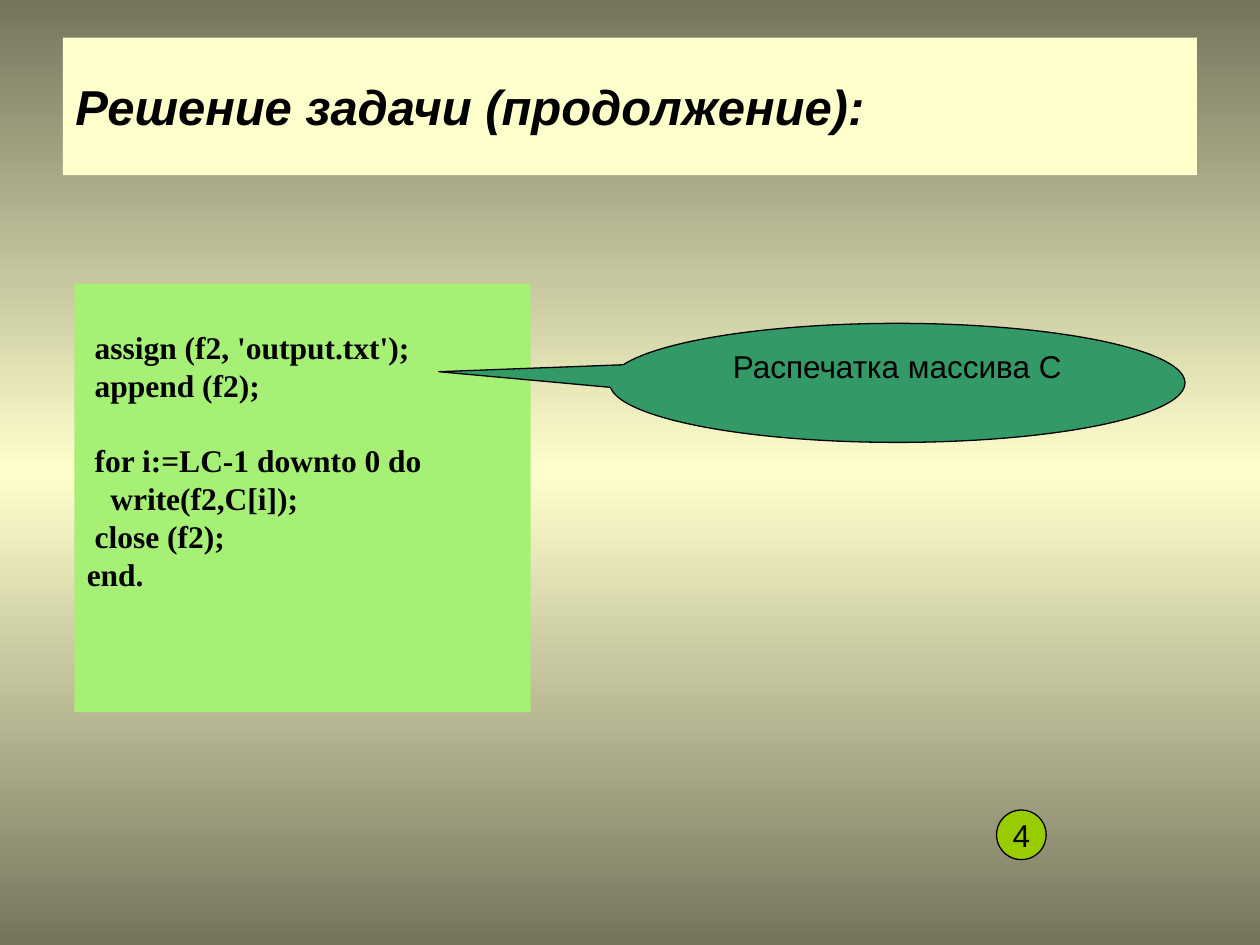
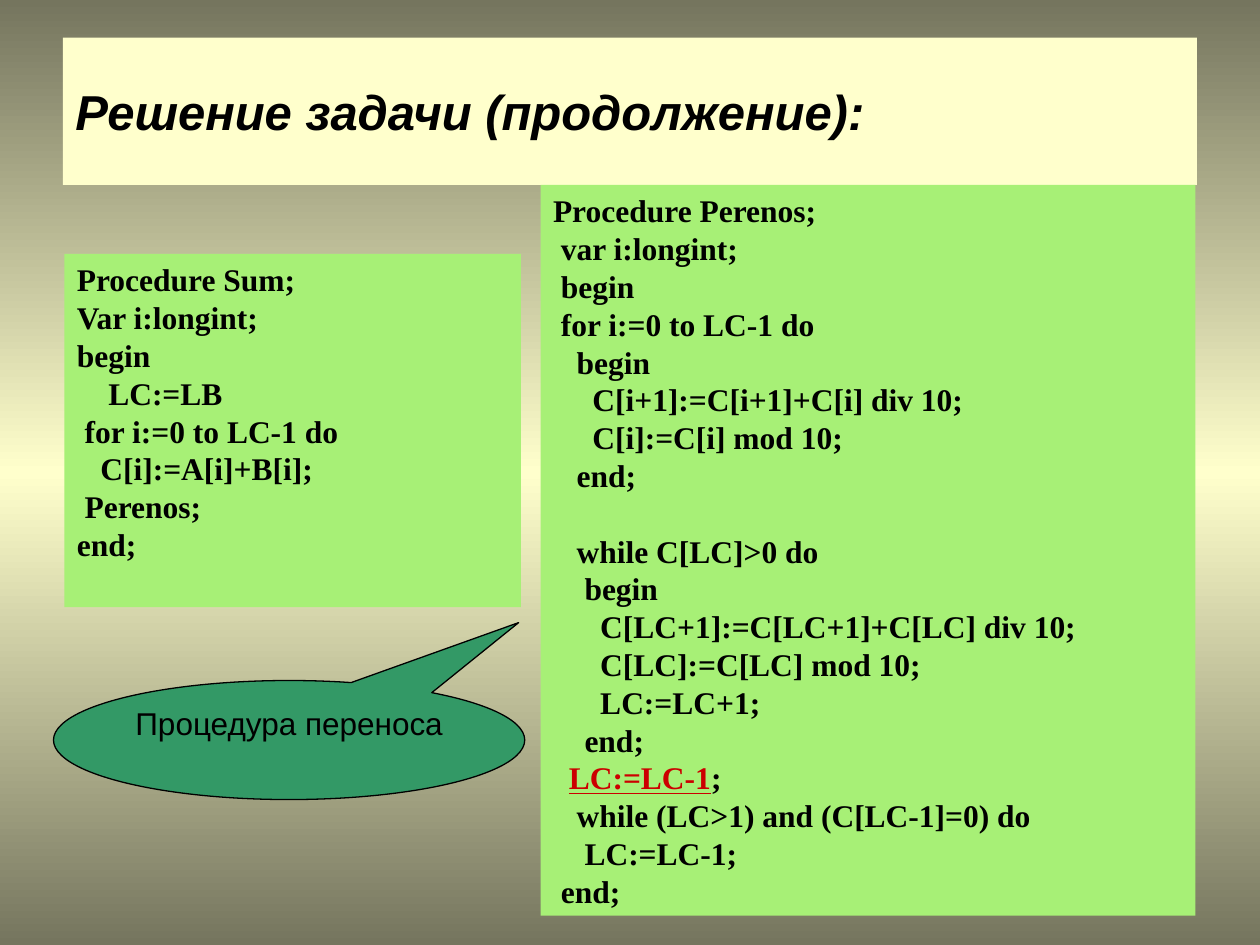
"""Build two slides that finish a long-addition program in Pascal."""
from copy import deepcopy

from pptx import Presentation
from pptx.dml.color import RGBColor
from pptx.enum.shapes import MSO_SHAPE
from pptx.enum.text import MSO_ANCHOR, PP_ALIGN
from pptx.oxml.ns import qn
from pptx.util import Cm, Pt

COLORS = {
    "edge": "75755E", "cream": "FFFFCC", "code": "A7F076", "callout": "339966",
    "badge": "99CC00", "text": "000000", "accent": "CC0000",
}
CODE_SIZE = 18
CODE_LINE = Pt(21.6)
INSET = Cm(0.13)

TITLE = "Решение задачи (продолжение):"
OUTPUT_CODE = [
    "",
    " assign (f2, 'output.txt');",
    " append (f2);",
    "",
    " for i:=LC-1 downto 0 do",
    "   write(f2,C[i]);",
    " close (f2);",
    "end.",
]
SUM_CODE = [
    "Procedure Sum;",
    "Var i:longint;",
    "begin",
    "    LC:=LВ",
    " for i:=0 to LC-1 do",
    "   C[i]:=A[i]+B[i];",
    " Perenos;",
    "end;",
]
CARRY_CODE = [
    "Procedure Perenos;",
    " var i:longint;",
    " begin",
    " for i:=0 to LC-1 do",
    "   begin",
    "     C[i+1]:=C[i+1]+C[i] div 10;",
    "     C[i]:=C[i] mod 10;",
    "   end;",
    "",
    "   while C[LC]>0 do",
    "    begin",
    "      C[LC+1]:=C[LC+1]+C[LC] div 10;",
    "      C[LC]:=C[LC] mod 10;",
    "      LC:=LC+1;",
    "    end;",
    ("  ", "LC:=LC-1", ";"),
    "   while (LC>1) and (C[LC-1]=0) do",
    "    LC:=LC-1;",
    " end;",
]
SLIDES = [
    {
        "title_height": 2.77,
        "code": [((1.5, 5.72, 9.2, 8.64), OUTPUT_CODE)],
        "callout": ((12.29, 6.52, 11.6, 2.4), (-0.797, -0.094), "Распечатка массива С"),
        "badge": ((20.09, 16.33, 1, 1), "4"),
    },
    {
        "title_height": 2.97,
        "code": [
            ((1.3, 5.12, 9.2, 7.12), SUM_CODE),
            ((10.9, 3.73, 13.2, 14.73), CARRY_CODE),
        ],
        "callout": ((1.08, 13.72, 9.5, 2.4), (0.487, -0.987), "Процедура переноса"),
    },
]


def color(name):
    return RGBColor.from_string(COLORS[name])


def set_background(master):
    fill = master.background.fill
    fill.gradient()
    fill.gradient_angle = 90
    stop_list = master.element.find(".//" + qn("a:gsLst"))
    stop_list.append(deepcopy(stop_list[-1]))
    for stop, position, name in zip(fill.gradient_stops, (0, 0.5, 1), ("edge", "cream", "edge")):
        stop.position = position
        stop.color.rgb = color(name)


def add_box(slide, kind, area, fill, outlined=False, anchor=MSO_ANCHOR.TOP):
    shape = slide.shapes.add_shape(kind, *map(Cm, area))
    shape.shadow.inherit = False
    shape.fill.solid()
    shape.fill.fore_color.rgb = color(fill)
    if outlined:
        shape.line.color.rgb = color("text")
        shape.line.width = Pt(0.75)
    else:
        shape.line.fill.background()
    frame = shape.text_frame
    frame.word_wrap = True
    frame.vertical_anchor = anchor
    frame.margin_top = frame.margin_bottom = INSET
    frame.paragraphs[0].alignment = PP_ALIGN.CENTER if outlined else PP_ALIGN.LEFT
    return shape


def add_run(paragraph, text, size=18, font="Arial", name="text", bold=False, italic=False):
    run = paragraph.add_run()
    run.text = text
    run.font.size = Pt(size)
    run.font.name = font
    run.font.bold = bold
    run.font.italic = italic
    run.font.color.rgb = color(name)
    return run


def add_code(slide, area, lines):
    frame = add_box(slide, MSO_SHAPE.RECTANGLE, area, "code").text_frame
    gap = 0
    started = False
    for line in lines:
        if not line:
            gap += CODE_LINE
            continue
        paragraph = frame.add_paragraph() if started else frame.paragraphs[0]
        paragraph.alignment = PP_ALIGN.LEFT
        paragraph.line_spacing = CODE_LINE
        if started:
            paragraph.space_before = gap
        else:
            frame.margin_top = INSET + gap
        started, gap = True, 0
        parts = (line,) if isinstance(line, str) else line
        for index, part in enumerate(parts):
            marked = index == 1
            run = add_run(paragraph, part, CODE_SIZE, "Times New Roman",
                          "accent" if marked else "text", bold=True)
            if marked:
                run.font.underline = True


def add_title(slide, height):
    shape = add_box(slide, MSO_SHAPE.RECTANGLE, (1.27, 0.76, 22.86, height), "cream",
                    anchor=MSO_ANCHOR.MIDDLE)
    add_run(shape.text_frame.paragraphs[0], TITLE, 28, bold=True, italic=True)


def add_callout(slide, area, tip, text):
    shape = add_box(slide, MSO_SHAPE.OVAL_CALLOUT, area, "callout", outlined=True)
    for index, offset in enumerate(tip):
        shape.adjustments[index] = offset
    add_run(shape.text_frame.paragraphs[0], text)


def add_badge(slide, area, text):
    shape = add_box(slide, MSO_SHAPE.OVAL, area, "badge", outlined=True,
                    anchor=MSO_ANCHOR.MIDDLE)
    shape.text_frame.word_wrap = False
    add_run(shape.text_frame.paragraphs[0], text)


def main():
    presentation = Presentation()
    presentation.slide_width, presentation.slide_height = Cm(25.4), Cm(19.05)
    set_background(presentation.slide_master)
    for content in SLIDES:
        slide = presentation.slides.add_slide(presentation.slide_layouts[6])
        add_title(slide, content["title_height"])
        for area, lines in content["code"]:
            add_code(slide, area, lines)
        add_callout(slide, *content["callout"])
        if "badge" in content:
            add_badge(slide, *content["badge"])
    presentation.save("out.pptx")


if __name__ == "__main__":
    main()
